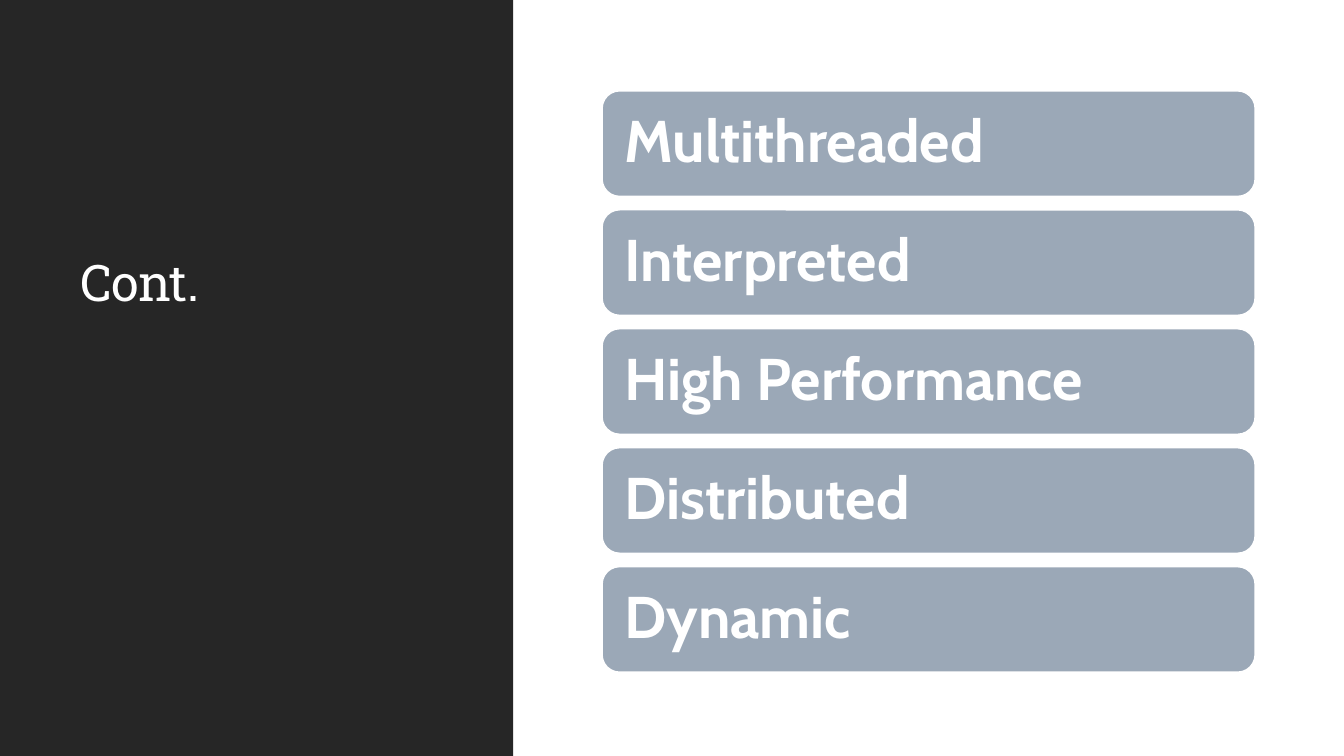
"""Build a slide with a dark title panel and five stacked feature bars."""
from dataclasses import dataclass

from pptx import Presentation
from pptx.dml.color import RGBColor
from pptx.enum.shapes import MSO_SHAPE
from pptx.enum.text import MSO_ANCHOR, MSO_AUTO_SIZE, PP_ALIGN
from pptx.util import Inches, Pt

RECTANGLE = MSO_SHAPE.RECTANGLE
ROUNDED = MSO_SHAPE.ROUNDED_RECTANGLE
BOTTOM, MIDDLE = MSO_ANCHOR.BOTTOM, MSO_ANCHOR.MIDDLE
NO_AUTOFIT = MSO_AUTO_SIZE.NONE
LEFT = PP_ALIGN.LEFT


@dataclass(frozen=True)
class Theme:
    panel: RGBColor = RGBColor.from_string("262626")
    bar: RGBColor = RGBColor.from_string("9BA8B7")
    white: RGBColor = RGBColor.from_string("FFFFFF")
    title_font: str = "Roboto Slab"
    bar_font: str = "Cabin"
    title_size: int = 36
    bar_size: int = 42


theme = Theme()


def write_text(shape, text, font, size, anchor, bold=False, inset=None, tracking=None):
    frame = shape.text_frame
    frame.word_wrap = True
    frame.auto_size = NO_AUTOFIT
    frame.vertical_anchor = anchor
    if inset is not None:
        frame.margin_left = frame.margin_right = Inches(inset)
        frame.margin_top = frame.margin_bottom = Inches(inset)
    paragraph = frame.paragraphs[0]
    paragraph.alignment = LEFT
    paragraph.line_spacing = 0.9
    run = paragraph.add_run()
    run.text = text
    run.font.name = font
    run.font.size = Pt(size)
    run.font.bold = bold
    run.font.color.rgb = theme.white
    if tracking is not None:
        run._r.get_or_add_rPr().set("spc", str(round(tracking * 100)))


def add_filled_shape(kind, left, top, width, height, color):
    shape = slide.shapes.add_shape(
        kind, Inches(left), Inches(top), Inches(width), Inches(height)
    )
    shape.shadow.inherit = False
    shape.fill.solid()
    shape.fill.fore_color.rgb = color
    return shape


presentation = Presentation()
presentation.slide_width = Inches(13.33)
presentation.slide_height = Inches(7.5)
slide = presentation.slides.add_slide(presentation.slide_layouts[5])
slide.background.fill.solid()
slide.background.fill.fore_color.rgb = theme.white

title = slide.shapes.title
title.left, title.top = Inches(0.7), Inches(0.86)
title.width, title.height = Inches(3.85), Inches(2.29)
write_text(title, "Cont.", theme.title_font, theme.title_size, BOTTOM, tracking=-0.5)

panel = add_filled_shape(RECTANGLE, 0, 0, 5.09, 7.5, theme.panel)
panel.line.fill.background()
title.element.addprevious(panel.element)

features = ["Multithreaded", "Interpreted", "High Performance", "Distributed", "Dynamic"]
bar_left, bar_top, bar_width, bar_height, bar_pitch = 5.97, 0.9, 6.48, 1.05, 1.18
for row, feature in enumerate(features):
    bar = add_filled_shape(
        ROUNDED, bar_left, bar_top + row * bar_pitch, bar_width, bar_height, theme.bar
    )
    bar.line.color.rgb = theme.white
    bar.line.width = Pt(1.25)
    write_text(bar, feature, theme.bar_font, theme.bar_size, MIDDLE, bold=True, inset=0.17)

presentation.save("out.pptx")
